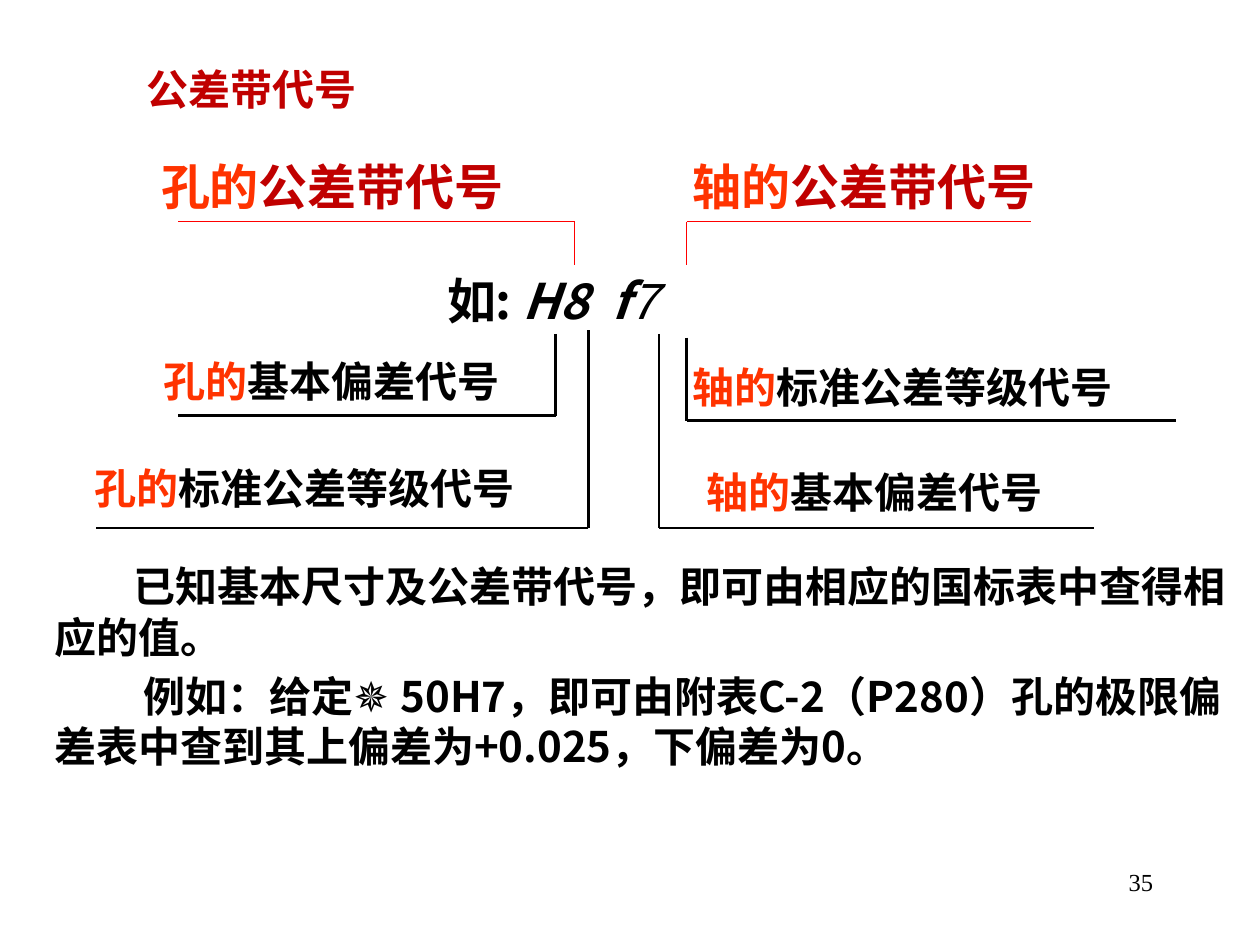
from dataclasses import dataclass

from lxml.etree import SubElement
from pptx import Presentation
from pptx.dml.color import RGBColor
from pptx.enum.shapes import MSO_CONNECTOR as Connector
from pptx.enum.text import MSO_ANCHOR as Anchor, MSO_AUTO_SIZE as AutoSize, PP_ALIGN as Align
from pptx.oxml.ns import qn
from pptx.util import Inches, Pt


@dataclass(frozen=True)
class Theme:
    cjk: str = "Noto Sans CJK SC"
    symbol: str = "Arial"
    number: str = "Times New Roman"
    black: str = "000000"
    crimson: str = "C00000"
    orange: str = "FF3300"
    red: str = "FF0000"
    large: int = 28
    normal: int = 24
    small: int = 14


THEME = Theme()


def add_run(paragraph, text, size=THEME.normal, color=THEME.black, font=THEME.cjk,
            bold=True, italic=False):
    """Add one formatted run, with the same font for Latin and East Asian text."""
    run = paragraph.add_run()
    run.text = text
    run.font.size = Pt(size)
    run.font.bold = bold
    run.font.italic = italic
    run.font.color.rgb = RGBColor.from_string(color)
    run.font.name = font
    SubElement(run.font._element, qn("a:ea")).set("typeface", font)


def place(shape, left, top, width, height):
    """Position a text shape and return its frame, anchored at the top."""
    shape.left, shape.top = Inches(left), Inches(top)
    shape.width, shape.height = Inches(width), Inches(height)
    frame = shape.text_frame
    frame.word_wrap = True
    frame.auto_size = AutoSize.NONE
    frame.vertical_anchor = Anchor.TOP
    return frame


def add_label(slide, box, *parts, align=Align.LEFT, **style):
    """Add a text box; each part is a text and the format that differs from style."""
    frame = place(slide.shapes.add_textbox(0, 0, 0, 0), *box)
    paragraph = frame.paragraphs[0]
    paragraph.alignment = align
    for text, changes in parts:
        add_run(paragraph, text, **{**style, **changes})


def add_line(slide, start, end, color, width):
    points = [Inches(value) for value in (*start, *end)]
    line = slide.shapes.add_connector(Connector.STRAIGHT, *points)
    line.line.color.rgb = RGBColor.from_string(color)
    line.line.width = Pt(width)
    SubElement(line._element.spPr, qn("a:effectLst"))


def add_leader(slide, x, start_y, corner_y, end_x, color=THEME.black, width=1.5):
    """Draw a vertical line from the code and a horizontal one under its label."""
    add_line(slide, (x, start_y), (x, corner_y), color, width)
    add_line(slide, (x, corner_y), (end_x, corner_y), color, width)


def fill_body(body):
    """Write the two explanatory paragraphs."""
    frame = place(body, 0.33, 4.4, 9.55, 1.8)
    contents = [
        (0.63, 0, [("已知基本尺寸及公差带代号，即可由相应的国标表中查得相应的值。", THEME.cjk)]),
        (0.71, 5, [("例如：给定", THEME.cjk), ("✵ ", THEME.symbol),
                   ("50H7，即可由附表C-2（P280）孔的极限偏差表中查到其上偏差为"
                    "+0.025，下偏差为0。", THEME.cjk)]),
    ]
    for index, (indent, space, runs) in enumerate(contents):
        paragraph = frame.add_paragraph() if index else frame.paragraphs[0]
        properties = paragraph._p.get_or_add_pPr()
        properties.set("marL", "0")
        properties.set("indent", str(Inches(indent)))
        SubElement(properties, qn("a:buNone"))
        paragraph.space_before = Pt(space)
        for text, font in runs:
            add_run(paragraph, text, font=font)


def main():
    presentation = Presentation()
    presentation.slide_width, presentation.slide_height = Inches(10), Inches(7.5)
    slide = presentation.slides.add_slide(presentation.slide_layouts[1])
    title, body = slide.placeholders

    # Title
    frame = place(title, 0.33, 0.45, 3.33, 0.5)
    frame.paragraphs[0].alignment = Align.CENTER
    add_run(frame.paragraphs[0], "公差带代号", color=THEME.crimson)

    # Zone codes above the example
    for owner, left, x, end_x in (("孔的", 1.18, 4.56, 1.41), ("轴的", 5.4, 5.45, 8.18)):
        add_label(slide, (left, 1.19, 3.06, 0.57), (owner, {"color": THEME.orange}),
                  ("公差带代号", {"color": THEME.crimson}), size=THEME.large)
        add_leader(slide, x, 2.1, 1.76, end_x, color=THEME.red, width=0.75)

    # Example code
    add_label(slide, (3.45, 2.1, 2.86, 0.57), ("如: ", {}), ("H8  f", {"italic": True}),
              ("7", {"italic": True, "bold": False}), size=THEME.large)

    # Parts of each code below the example: label box, then leader
    deviation, grade = "基本偏差代号", "标准公差等级代号"
    for owner, part, box, leader in (
        ("孔的", deviation, (1.2, 2.77, 3.36, 0.5), (4.41, 2.65, 3.3, 1.41)),
        ("孔的", grade, (0.65, 3.62, 4.22, 0.5), (4.67, 2.62, 4.19, 0.76)),
        ("轴的", grade, (5.4, 2.82, 4.2, 0.5), (5.45, 2.68, 3.34, 9.33)),
        ("轴的", deviation, (5.51, 3.65, 3.46, 0.5), (5.23, 2.65, 4.19, 8.68)),
    ):
        add_label(slide, box, (owner, {"color": THEME.orange}), (part, {}))
        add_leader(slide, *leader)

    # Explanation and page number
    fill_body(body)
    add_label(slide, (7.17, 6.83, 2.08, 0.5), ("35", {}), align=Align.RIGHT,
              size=THEME.small, font=THEME.number, bold=False)

    presentation.save("out.pptx")


if __name__ == "__main__":
    main()
